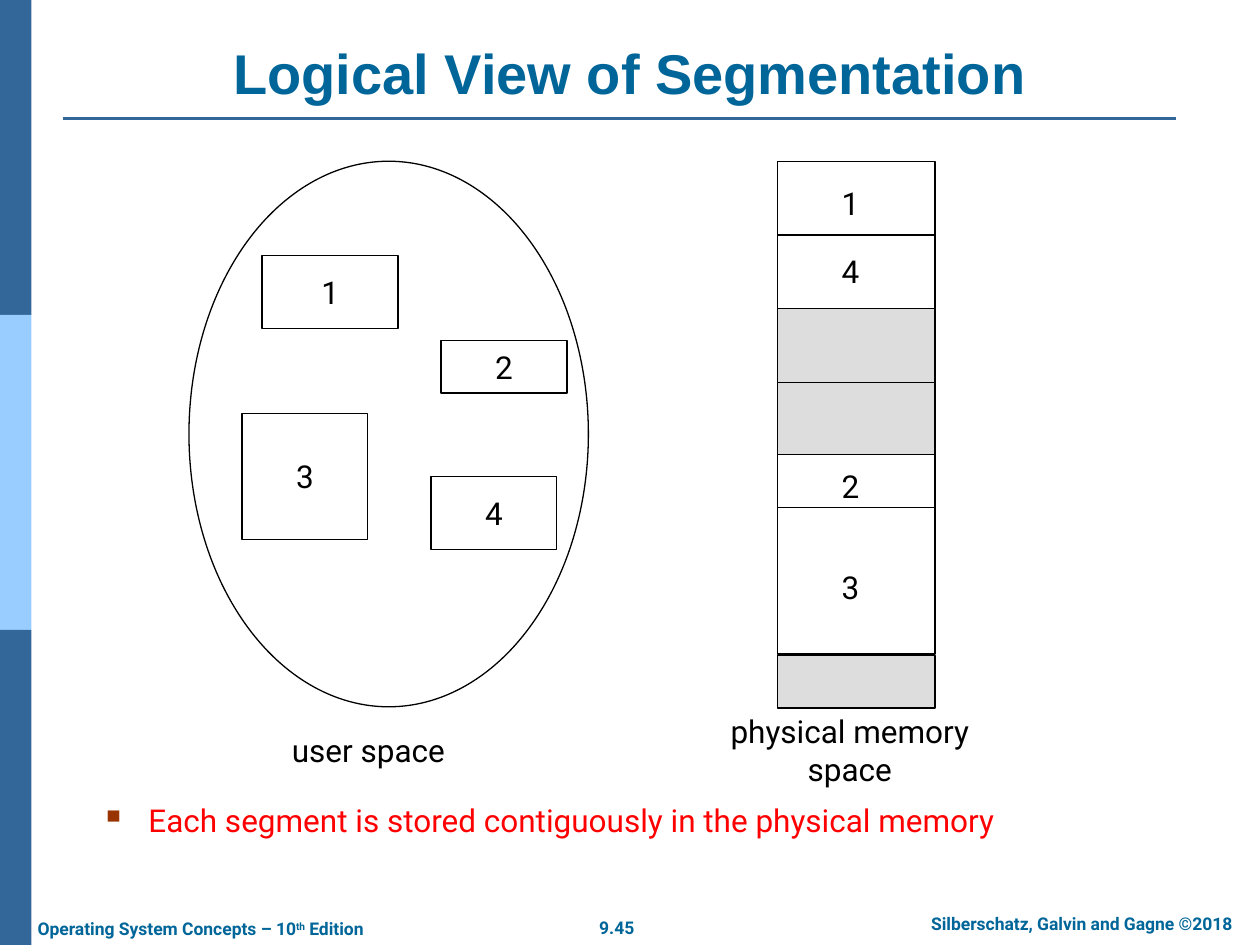
import pptx
import pptx.dml.color
import pptx.enum.shapes
import pptx.enum.text
import pptx.oxml.ns
import pptx.util
from lxml import etree

Inches = pptx.util.Inches
Pt = pptx.util.Pt
RGBColor = pptx.dml.color.RGBColor
Shape = pptx.enum.shapes.MSO_SHAPE
Align = pptx.enum.text.PP_ALIGN
Anchor = pptx.enum.text.MSO_ANCHOR
qn = pptx.oxml.ns.qn

NAVY = RGBColor(0x33, 0x66, 0x99)
SKY = RGBColor(0x99, 0xCC, 0xFF)
TEAL = RGBColor(0x00, 0x66, 0x99)
BLACK = RGBColor(0x00, 0x00, 0x00)
WHITE = RGBColor(0xFF, 0xFF, 0xFF)
GRAY = RGBColor(0xDD, 0xDD, 0xDD)
RED = RGBColor(0xFF, 0x00, 0x00)
BULLET_BROWN = "993300"


class SegmentationSlide:
    font_name = "Roboto"
    label_size = 18
    outline_width = 0.75

    def __init__(self, presentation):
        self.slide = presentation.slides.add_slide(presentation.slide_layouts[5])
        self.shapes = self.slide.shapes

    def style(self, paragraph, size, color, bold=False, align=Align.CENTER, name=None):
        paragraph.alignment = align
        font = paragraph.font
        font.name = name or self.font_name
        font.size = Pt(size)
        font.bold = bold
        font.color.rgb = color

    def title(self, text, left, top, width, height):
        title = self.shapes.title
        title.left, title.top = Inches(left), Inches(top)
        title.width, title.height = Inches(width), Inches(height)
        frame = title.text_frame
        frame.text = text
        frame.auto_size = pptx.enum.text.MSO_AUTO_SIZE.NONE
        frame.vertical_anchor = Anchor.BOTTOM
        self.style(frame.paragraphs[0], 32, TEAL, bold=True, name="Arial")

    def block(self, left, top, width, height, fill=WHITE, outline=BLACK,
              text=None, kind=Shape.RECTANGLE, parent=None):
        block = (parent or self.shapes).add_shape(
            kind, Inches(left), Inches(top), Inches(width), Inches(height))
        block.shadow.inherit = False
        block.fill.solid()
        block.fill.fore_color.rgb = fill
        if outline is None:
            block.line.fill.background()
        else:
            block.line.color.rgb = outline
            block.line.width = Pt(self.outline_width)
        if text:
            frame = block.text_frame
            frame.text = text
            frame.word_wrap = False
            frame.vertical_anchor = Anchor.MIDDLE
            self.style(frame.paragraphs[0], self.label_size, BLACK)
        return block

    def rule(self, left, right, y, color=BLACK, width=0.75, parent=None, across=None):
        rule = (parent or self.shapes).add_connector(
            pptx.enum.shapes.MSO_CONNECTOR.STRAIGHT,
            Inches(left), Inches(y), Inches(right), Inches(y))
        rule.line.color.rgb = color
        rule.line.width = Pt(width)
        etree.SubElement(rule._element.spPr, qn("a:effectLst"))
        if across is not None:
            rule.begin_connect(across, 1)
            rule.end_connect(across, 3)

    def text(self, text, left, top, width, height, size=18, color=BLACK, bold=False,
             align=Align.CENTER, anchor=Anchor.MIDDLE, wrap=False, parent=None):
        box = (parent or self.shapes).add_textbox(
            Inches(left), Inches(top), Inches(width), Inches(height))
        frame = box.text_frame
        frame.word_wrap = wrap
        frame.vertical_anchor = anchor
        paragraph = frame.paragraphs[0]
        paragraph.text = text
        self.style(paragraph, size, color, bold, align)
        return frame

    def footer(self, text, left, top, width, align=Align.CENTER):
        return self.text(text, left, top, width, 0.27, 10, TEAL, True, align, Anchor.TOP)

    def bullet(self, text, left, top, width, height):
        frame = self.text("", left, top, width, height, anchor=Anchor.TOP, wrap=True)
        paragraph = frame.paragraphs[0]
        paragraph.text = text
        properties = paragraph._p.get_or_add_pPr()
        properties.set("marL", str(Inches(0.38)))
        properties.set("indent", str(-Inches(0.38)))
        for child in list(properties):
            properties.remove(child)
        bullet_color = etree.SubElement(properties, qn("a:buClr"))
        etree.SubElement(bullet_color, qn("a:srgbClr"), val=BULLET_BROWN)
        etree.SubElement(properties, qn("a:buSzPct"), val="110000")
        etree.SubElement(properties, qn("a:buChar"), char="▪")
        self.style(paragraph, self.label_size, RED, align=Align.LEFT)


def main():
    presentation = pptx.Presentation()
    presentation.slide_width = Inches(10)
    presentation.slide_height = Inches(7.5)
    page = SegmentationSlide(presentation)

    for index, band in enumerate((NAVY, SKY, NAVY)):
        page.block(0, 2.5 * index, 0.25, 2.5, band, None)
    page.rule(0.5, 9.33, 0.94, NAVY, 1.5)
    page.title("Logical View of Segmentation", 0.5, 0.26, 9, 0.63)

    page.footer("9.45", 4.65, 7.23, 0.49)
    page.footer("Silberschatz, Galvin and Gagne ©2018", 7.1, 7.2, 2.97)
    book = page.footer("Operating System Concepts – 10", 0.2, 7.24, 2.99, Align.LEFT).paragraphs[0]
    ordinal = book.add_run()
    ordinal.text = "th"
    ordinal._r.get_or_add_rPr().set("baseline", "30000")
    book.add_run().text = " Edition"

    page.block(1.5, 1.28, 3.17, 4.33, kind=Shape.OVAL)
    for segment, left, top, width, height in (
            ("1", 2.08, 2.03, 1.08, 0.58), ("3", 1.92, 3.28, 1, 1),
            ("2", 3.5, 2.7, 1, 0.42), ("4", 3.42, 3.78, 1, 0.58)):
        page.block(left, top, width, height, text=segment)

    memory = page.shapes.add_group_shape().shapes
    memory_left, memory_width = 6.17, 1.25
    memory_right = memory_left + memory_width
    for top, height, fill, split in (
            (1.28, 1.17, WHITE, True), (2.45, 1.17, GRAY, True),
            (3.61, 1.58, WHITE, False), (5.2, 0.42, GRAY, False)):
        region = page.block(memory_left, top, memory_width, height, fill, parent=memory)
        if split:
            page.rule(memory_left, memory_right, top + height / 2, parent=memory, across=region)
    page.rule(memory_left, memory_right, 4.03, parent=memory)
    for segment, top in (("1", 1.41), ("4", 1.95), ("2", 3.66), ("3", 4.46)):
        page.text(segment, 6.58, top, 0.34, 0.4, parent=memory)

    page.text("user space ", 2.21, 5.75, 1.49, 0.4)
    memory_caption = page.text("physical memory space", 5.34, 5.75, 2.81, 0.4, wrap=True)
    memory_caption.margin_left = memory_caption.margin_right = Inches(0.3)
    page.bullet("Each segment is stored contiguously in the physical memory", 0.7, 6.31, 7.8, 0.47)

    presentation.save("out.pptx")


if __name__ == "__main__":
    main()
